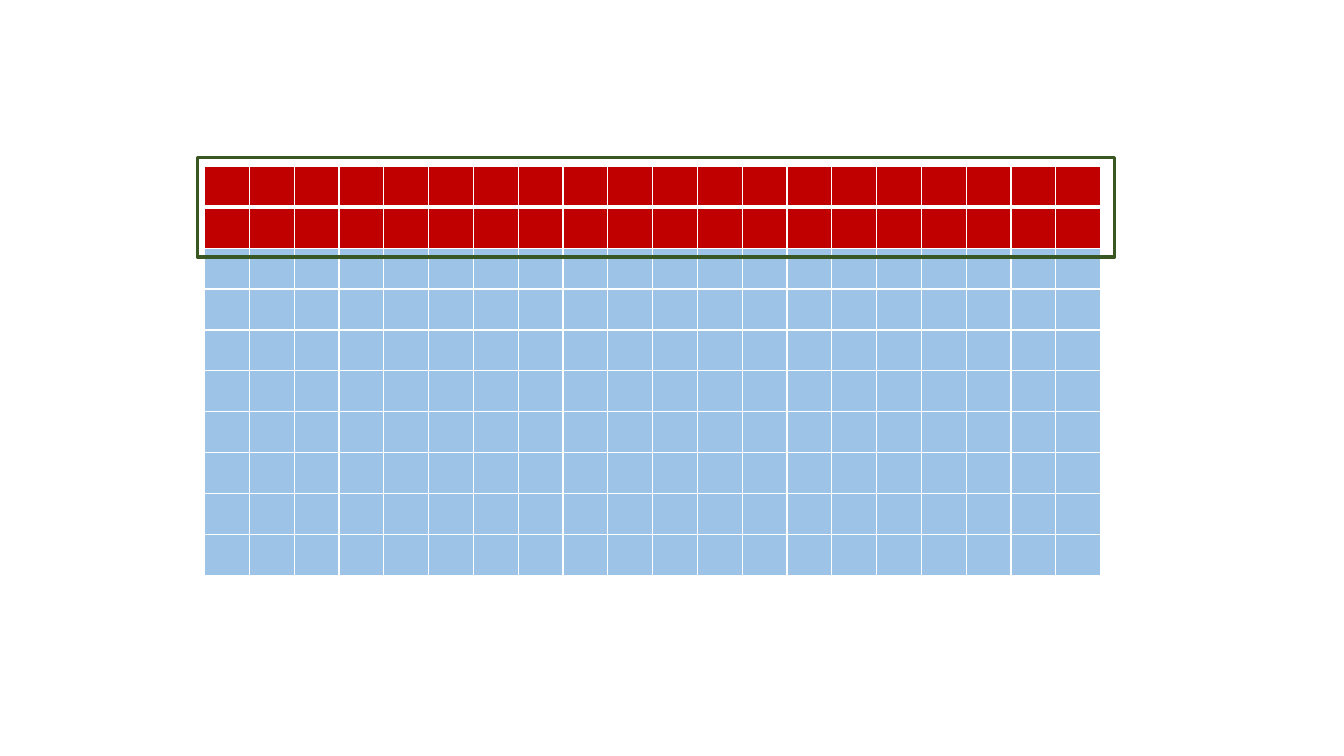
from dataclasses import dataclass

from lxml import etree
from pptx import Presentation
from pptx.dml.color import RGBColor
from pptx.enum.shapes import MSO_SHAPE
from pptx.oxml.ns import qn
from pptx.slide import Slide
from pptx.table import Table, _Cell
from pptx.util import Pt

RECT = MSO_SHAPE.RECTANGLE
RED = RGBColor(0xC0, 0x00, 0x00)
BLUE = RGBColor(0x9D, 0xC3, 0xE6)
GREEN = RGBColor(0x38, 0x57, 0x23)
WHITE = RGBColor(0xFF, 0xFF, 0xFF)
COLS = 20
THIN, THICK = 1, 3


@dataclass(frozen=True)
class Box:
    left: float
    top: float
    width: float
    height: float

    def place(self) -> tuple[Pt, Pt, Pt, Pt]:
        return Pt(self.left), Pt(self.top), Pt(self.width), Pt(self.height)


@dataclass(frozen=True)
class Band:
    fill: RGBColor
    top: float = THIN
    bottom: float = THIN
    count: int = 1


GRID = Box(146.16, 118.8, 640.08, 292.32)
FRAME = Box(141.12, 112.32, 655.2, 71.28)
BANDS = (
    Band(RED, bottom=THICK),
    Band(RED, top=THICK),
    Band(BLUE, count=8),
)


def add_edge(cell: _Cell, side: str, width: float) -> None:
    props = cell._tc.get_or_add_tcPr()
    line = etree.SubElement(props, qn(f"a:ln{side}"), w=str(Pt(width)))
    fill = etree.SubElement(line, qn("a:solidFill"))
    etree.SubElement(fill, qn("a:srgbClr"), val=str(WHITE))


def style_cell(cell: _Cell, band: Band) -> None:
    edges = {"L": THIN, "R": THIN, "T": band.top, "B": band.bottom}
    for side, width in edges.items():
        add_edge(cell, side, width)
    cell.fill.solid()
    cell.fill.fore_color.rgb = band.fill


def add_grid(slide: Slide, box: Box) -> Table:
    rows = [band for band in BANDS for _ in range(band.count)]
    table = slide.shapes.add_table(len(rows), COLS, *box.place()).table
    table.first_row = False
    table.horz_banding = False
    for col in table.columns:
        col.width = Pt(box.width / COLS)
    for row, band in zip(table.rows, rows):
        row.height = Pt(box.height / len(rows))
        for cell in row.cells:
            style_cell(cell, band)
    return table


def add_frame(slide: Slide, box: Box) -> None:
    frame = slide.shapes.add_shape(RECT, *box.place())
    frame.shadow.inherit = False
    frame.fill.background()
    frame.line.color.rgb = GREEN
    frame.line.width = Pt(2.25)


def main() -> None:
    deck = Presentation()
    deck.slide_width, deck.slide_height = Pt(960), Pt(540)
    slide = deck.slides.add_slide(deck.slide_layouts[6])
    add_grid(slide, GRID)
    add_frame(slide, FRAME)
    deck.save("out.pptx")


if __name__ == "__main__":
    main()
